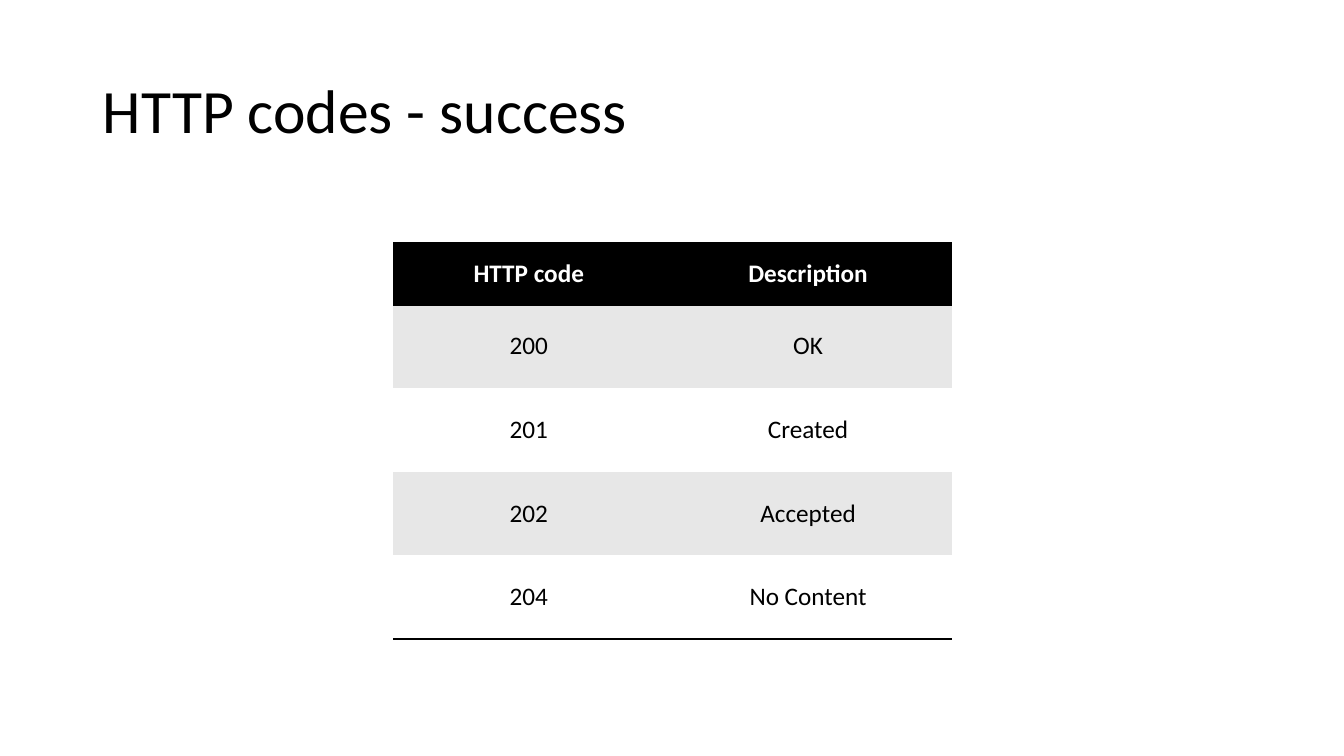
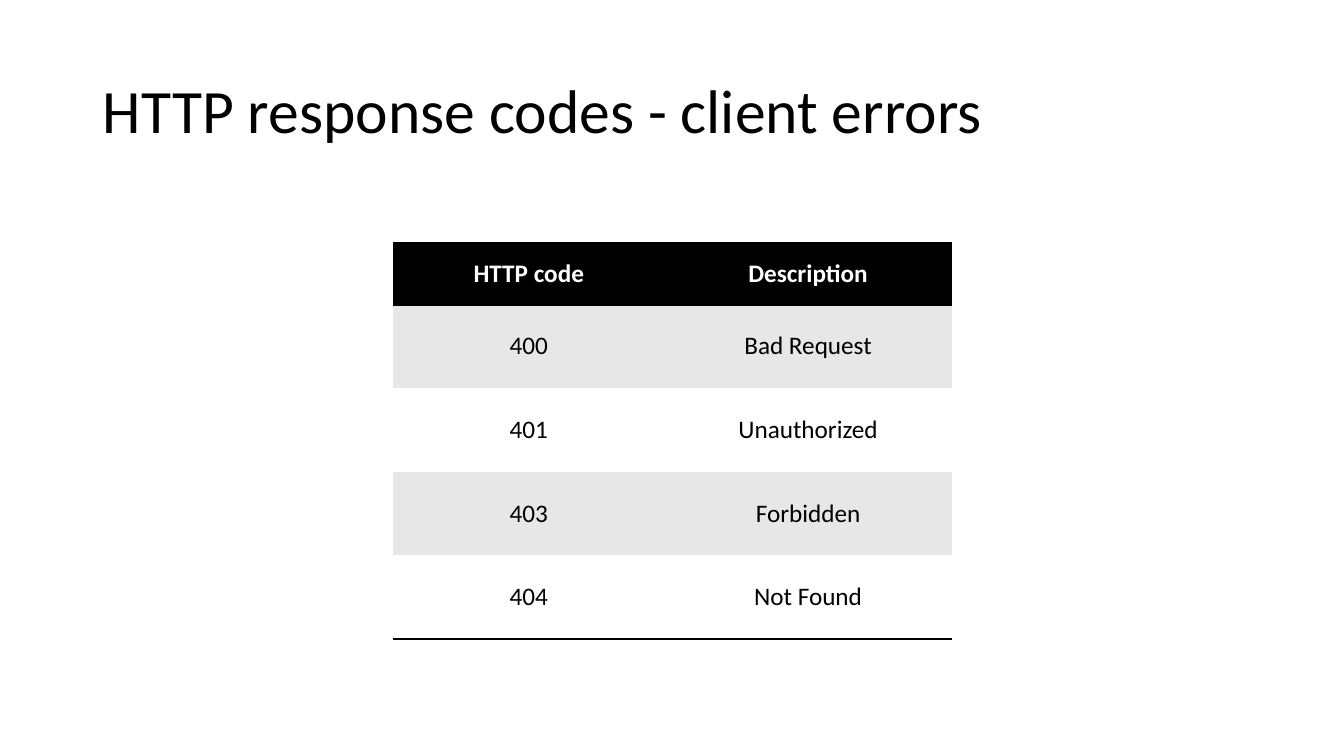
from lxml import etree
from pptx import Presentation
from pptx import util as u
from pptx.dml.color import RGBColor
from pptx.enum import text
from pptx.oxml.ns import qn

PX = 9144  # EMU per px, 100 px to the inch
COLORS = {"ink": "000000", "paper": "FFFFFF", "band": "E7E7E7"}
FONT = "Calibri"
NO_STYLE = "{2D5ABB26-0587-4C30-8999-92F81FD0307C}"

TITLE_BOX = (92, 40, 1150, 145)
TABLE_AT = (390, 241)
COL_WIDTHS = (269, 285)
HEAD_HEIGHT, ROW_HEIGHT = 61, 83
CELL_MARGIN = 5

HEADER = ("HTTP code", "Description")
SLIDES = {
    "HTTP codes - success": [
        ("200", "OK"),
        ("201", "Created"),
        ("202", "Accepted"),
        ("204", "No Content"),
    ],
    "HTTP response codes - client errors": [
        ("400", "Bad Request"),
        ("401", "Unauthorized"),
        ("403", "Forbidden"),
        ("404", "Not Found"),
    ],
}


def px(n):
    return u.Emu(n * PX)


def rgb(name):
    return RGBColor.from_string(COLORS[name])


def set_all(obj, values):
    for name, value in values.items():
        setattr(obj, name, value)


class Deck:
    """Holds the shared style and the slide being built."""

    def __init__(self):
        self.prs = Presentation()
        set_all(self.prs, {"slide_width": px(1333), "slide_height": px(750)})
        self.s = None

    def slide(self, title):
        self.s = self.prs.slides.add_slide(self.prs.slide_layouts[5])
        self.title(title)

    def add_text(self, tf, words, size, color, align, bold=False):
        p = tf.paragraphs[0]
        p.alignment = align
        r = p.add_run()
        r.text = words
        set_all(r.font, {"name": FONT, "size": u.Pt(size), "bold": bold})
        r.font.color.rgb = rgb(color)
        return p

    def title(self, words):
        sp = self.s.shapes.title
        set_all(sp, dict(zip(("left", "top", "width", "height"), map(px, TITLE_BOX))))
        tf = sp.text_frame
        set_all(tf, {"word_wrap": True, "auto_size": text.MSO_AUTO_SIZE.NONE,
                     "vertical_anchor": text.MSO_ANCHOR.MIDDLE})
        p = self.add_text(tf, words, 44, "ink", text.PP_ALIGN.LEFT)
        p.line_spacing = 0.9

    def table(self, rows):
        heights = [HEAD_HEIGHT] + [ROW_HEIGHT] * (len(rows) - 1)
        size = (sum(COL_WIDTHS), sum(heights))
        frame = self.s.shapes.add_table(len(rows), len(COL_WIDTHS),
                                        *map(px, TABLE_AT + size))
        table = frame.table
        table.horz_banding = False
        table._tbl.tblPr.find(qn("a:tableStyleId")).text = NO_STYLE
        for col, width in zip(table.columns, COL_WIDTHS):
            col.width = px(width)
        for i, (row, height) in enumerate(zip(table.rows, heights)):
            row.height = px(height)
            head, last = i == 0, i == len(rows) - 1
            fill = "ink" if head else "band" if i % 2 else "paper"
            sides = ("lnT", "lnB") if head else ("lnB",) if last else ()
            for cell, words in zip(row.cells, rows[i]):
                self.cell(cell, words, fill, head, sides)

    def cell(self, cell, words, fill, head, sides):
        set_all(cell, {f"margin_{side}": px(CELL_MARGIN)
                       for side in ("left", "right", "top", "bottom")})
        cell.vertical_anchor = text.MSO_ANCHOR.MIDDLE
        cell.fill.solid()
        cell.fill.fore_color.rgb = rgb(fill)
        self.add_text(cell.text_frame, words, 18, "paper" if head else "ink",
                      text.PP_ALIGN.CENTER, head)
        for i, side in enumerate(sides):
            self.border(cell, side, i)

    def border(self, cell, side, index):
        """Add a cell border; borders must come before the fill in tcPr."""
        ln = etree.Element(qn(f"a:{side}"), w=str(u.Pt(2)))
        solid = etree.SubElement(ln, qn("a:solidFill"))
        etree.SubElement(solid, qn("a:srgbClr"), val=COLORS["ink"])
        cell._tc.get_or_add_tcPr().insert(index, ln)


def main():
    deck = Deck()
    for title, codes in SLIDES.items():
        deck.slide(title)
        deck.table([HEADER, *codes])
    deck.prs.save("out.pptx")


if __name__ == "__main__":
    main()
